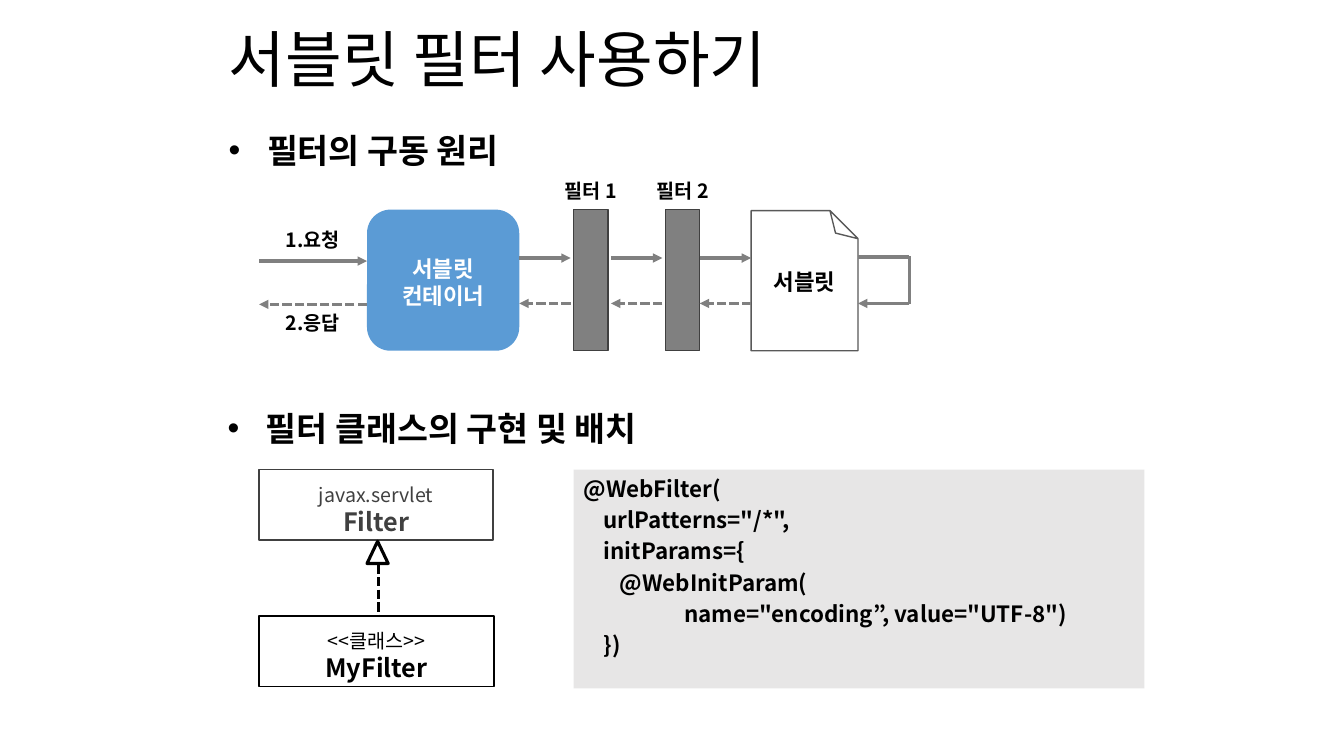
from dataclasses import dataclass
from typing import Optional

from lxml import etree
from pptx import Presentation
from pptx.dml.color import RGBColor
from pptx.enum.dml import MSO_LINE
from pptx.enum.shapes import MSO_CONNECTOR, MSO_SHAPE
from pptx.enum.text import MSO_ANCHOR, MSO_AUTO_SIZE, PP_ALIGN
from pptx.oxml.ns import qn
from pptx.util import Inches, Pt

FONT = "Noto Sans CJK KR"
COLORS = {
    "black": "000000", "white": "FFFFFF", "blue": "5B9BD5", "gray": "808080",
    "dark": "404040", "fold": "595959", "code": "E7E6E6",
}


@dataclass
class Line:
    text: str
    size: float
    bold: bool = True
    indent: float = 0


@dataclass
class Box:
    left: float
    top: float
    width: float
    height: float
    fill: Optional[str] = None
    line: Optional[str] = None
    kind: MSO_SHAPE = MSO_SHAPE.RECTANGLE
    weight: float = 1


@dataclass
class Arrow:
    x1: float
    y1: float
    x2: float
    y2: float
    dashed: bool = False
    head: bool = True
    color: str = "gray"


def rgb(name: str) -> RGBColor:
    return RGBColor.from_string(COLORS[name])


def write(frame, lines: list[Line], color: str = "black",
          align=PP_ALIGN.CENTER, before: float = 0) -> None:
    frame.word_wrap = True
    for i, line in enumerate(lines):
        paragraph = frame.paragraphs[0] if i == 0 else frame.add_paragraph()
        paragraph.alignment = align
        paragraph.space_before = Pt(before)
        if line.indent:
            paragraph._p.get_or_add_pPr().set("marL", str(Inches(line.indent)))
        run = paragraph.add_run()
        run.text = line.text
        run.font.name, run.font.size, run.font.bold = FONT, Pt(line.size), line.bold
        run.font.color.rgb = rgb(color)
        etree.SubElement(run._r.get_or_add_rPr(), qn("a:ea"), typeface=FONT)


def add_box(box: Box):
    shape = slide.shapes.add_shape(box.kind, Inches(box.left), Inches(box.top),
                                   Inches(box.width), Inches(box.height))
    shape.shadow.inherit = False
    if box.fill:
        shape.fill.solid()
        shape.fill.fore_color.rgb = rgb(box.fill)
    else:
        shape.fill.background()
    if box.line:
        shape.line.color.rgb = rgb(box.line)
        shape.line.width = Pt(box.weight)
    else:
        shape.line.fill.background()
    return shape


def add_label(left: float, top: float, width: float, height: float,
              lines: list[Line], color: str = "black") -> None:
    label = slide.shapes.add_textbox(Inches(left), Inches(top), Inches(width), Inches(height))
    write(label.text_frame, lines, color)


def add_heading(left: float, top: float, width: float, text: str) -> None:
    heading = slide.shapes.add_textbox(Inches(left), Inches(top), Inches(width), Inches(0.66))
    write(heading.text_frame, [Line(text, 24, indent=0.38)], align=PP_ALIGN.LEFT, before=4.8)
    props = heading.text_frame.paragraphs[0]._p.get_or_add_pPr()
    props.set("indent", str(Inches(-0.38)))
    etree.SubElement(props, qn("a:buFont"), typeface="Arial")
    etree.SubElement(props, qn("a:buChar"), char="•")


def add_arrow(arrow: Arrow) -> None:
    connector = slide.shapes.add_connector(
        MSO_CONNECTOR.STRAIGHT, Inches(arrow.x1), Inches(arrow.y1),
        Inches(arrow.x2), Inches(arrow.y2))
    connector.line.color.rgb = rgb(arrow.color)
    connector.line.width = Pt(2.25)
    if arrow.dashed:
        connector.line.dash_style = MSO_LINE.SQUARE_DOT
    if arrow.head:
        etree.SubElement(connector.line._get_or_add_ln(), qn("a:tailEnd"), type="triangle")
    etree.SubElement(connector._element.spPr, qn("a:effectLst"))


def add_class(top: float, width: float, color: str, caption: str, name: str) -> None:
    add_box(Box(2.57, top, width, 0.7, line=color))
    add_label(2.57, top + 0.08, width, 0.64, [Line(caption, 14, False), Line(name, 18)], color)


prs = Presentation()
prs.slide_width, prs.slide_height = Inches(13.33), Inches(7.5)
slide = prs.slides.add_slide(prs.slide_layouts[5])

# Title
title = slide.shapes.title
title.left, title.top, title.width, title.height = Inches(2.17), Inches(0), Inches(9), Inches(1.25)
title.text_frame.auto_size = MSO_AUTO_SIZE.NONE
title.text_frame.vertical_anchor = MSO_ANCHOR.MIDDLE
write(title.text_frame, [Line("서블릿 필터 사용하기", 44, False)], align=PP_ALIGN.LEFT)
title.text_frame.paragraphs[0].line_spacing = 0.9

# Section headings
add_heading(2.17, 1.24, 8.82, "필터의 구동 원리")
add_heading(2.16, 4, 5.06, "필터 클래스의 구현 및 배치")

# Servlet container, filters and servlet
add_box(Box(3.64, 2.08, 1.51, 1.4, fill="blue", kind=MSO_SHAPE.ROUNDED_RECTANGLE))
add_label(3.64, 2.48, 1.51, 0.64, [Line("서블릿", 16), Line("컨테이너", 16)], "white")
for number, filter_left in enumerate((5.69, 6.6), start=1):
    add_box(Box(filter_left, 2.08, 0.34, 1.4, fill="gray", line="dark"))
    add_label(filter_left - 0.32, 1.73, 0.98, 0.34, [Line(f"필터 {number}", 14)])
add_label(7.45, 2.61, 1.06, 0.37, [Line("서블릿", 16)])
servlet = add_box(Box(7.45, 2.09, 1.06, 1.39, line="fold", kind=MSO_SHAPE.FOLDED_CORNER))
servlet._element.spPr.xfrm.set("flipV", "1")
fold_values = servlet._element.spPr.find(qn("a:prstGeom")).find(qn("a:avLst"))
etree.SubElement(fold_values, qn("a:gd"), name="adj", fmla="val 26200")

# Request and response
add_label(2.57, 2.21, 1.07, 0.34, [Line("1.요청", 14)])
add_label(2.57, 3.04, 1.07, 0.34, [Line("2.응답", 14)])
add_arrow(Arrow(2.57, 2.59, 3.64, 2.59))
add_arrow(Arrow(3.64, 3.02, 2.57, 3.02, dashed=True))
for hop_left in (5.15, 6.06, 6.94):
    add_arrow(Arrow(hop_left, 2.56, hop_left + 0.51, 2.56))
    add_arrow(Arrow(hop_left + 0.51, 3.01, hop_left, 3.01, dashed=True))

# Loop at the servlet
add_arrow(Arrow(8.51, 2.55, 9.02, 2.55, head=False))
add_arrow(Arrow(9.02, 2.54, 9.02, 3.02, head=False))
add_arrow(Arrow(9.02, 3.01, 8.51, 3.01))

# Class diagram
add_class(4.66, 2.32, "dark", "javax.servlet", "Filter")
add_class(6.11, 2.33, "black", "<<클래스>>", "MyFilter")
add_box(Box(3.64, 5.37, 0.21, 0.22, line="black", kind=MSO_SHAPE.ISOSCELES_TRIANGLE, weight=2.25))
add_arrow(Arrow(3.75, 5.6, 3.75, 6.1, dashed=True, head=False, color="black"))

# Filter annotation code
code = add_box(Box(5.69, 4.66, 5.66, 2.17, fill="code"))
code.text_frame.vertical_anchor = MSO_ANCHOR.TOP
write(code.text_frame, [
    Line("@WebFilter(", 16),
    Line('urlPatterns="/*",', 16, indent=0.2),
    Line("initParams={", 16, indent=0.2),
    Line("@WebInitParam(", 16, indent=0.36),
    Line('name="encoding”, value="UTF-8")', 16, indent=1),
    Line("})", 16, indent=0.2),
], align=PP_ALIGN.LEFT, before=3.2)

prs.save("out.pptx")
